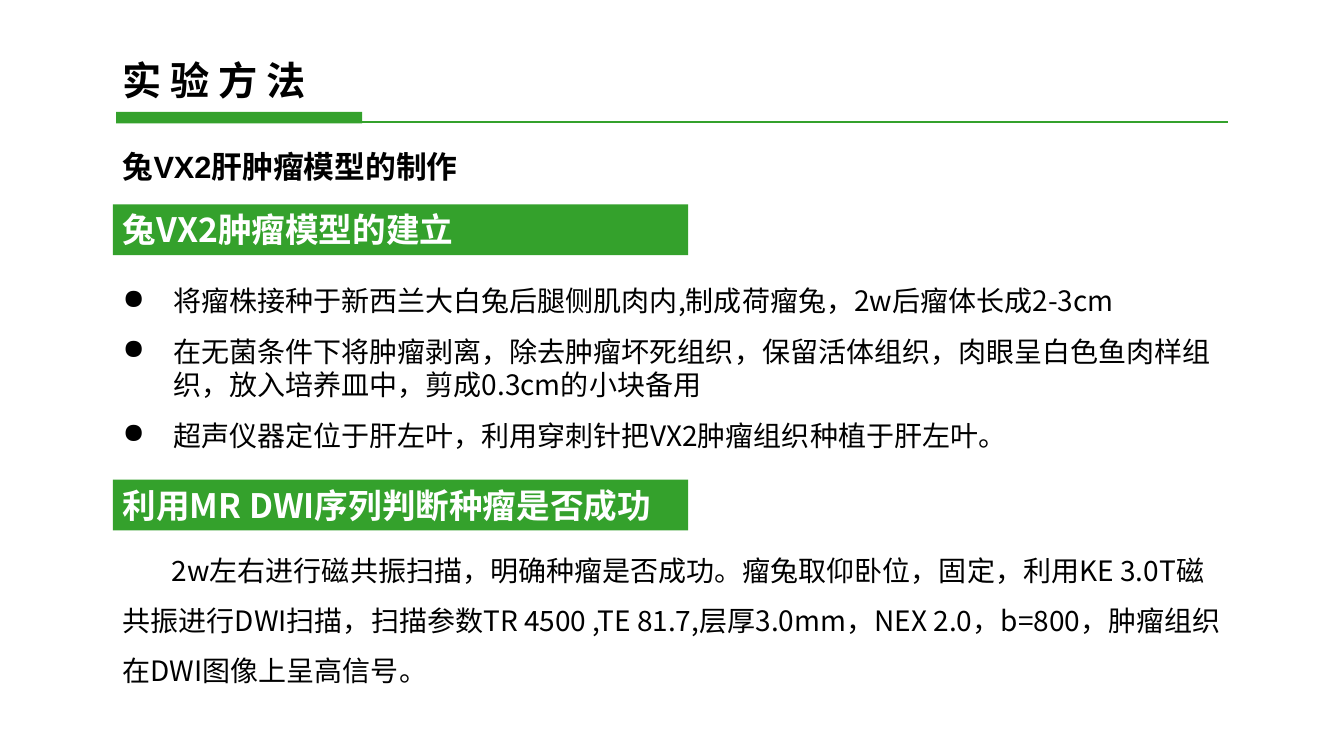
import pptx
import pptx.util
import pptx.dml.color
import pptx.enum.shapes
import pptx.enum.text
import pptx.oxml
import pptx.oxml.ns
from pptx.util import Pt

TITLE = "实 验 方 法"
SUBTITLE = "兔VX2肝肿瘤模型的制作"
HEADINGS = [
    ("兔VX2肿瘤模型的建立", 146),
    ("利用MR DWI序列判断种瘤是否成功", 342.5),
]
STEPS = [
    "将瘤株接种于新西兰大白兔后腿侧肌肉内,制成荷瘤兔，2w后瘤体长成2-3cm",
    "在无菌条件下将肿瘤剥离，除去肿瘤坏死组织，保留活体组织，肉眼呈白色鱼肉样组织，放入培养皿中，剪成0.3cm的小块备用",
    "超声仪器定位于肝左叶，利用穿刺针把VX2肿瘤组织种植于肝左叶。",
]
SCAN = (
    "2w左右进行磁共振扫描，明确种瘤是否成功。瘤兔取仰卧位，固定，利用KE 3.0T磁共振进行DWI扫描，"
    "扫描参数TR 4500 ,TE 81.7,层厚3.0mm，NEX 2.0，b=800，肿瘤组织在DWI图像上呈高信号。"
)

GREEN, BLACK, WHITE = "34A12C", "000000", "FFFFFF"
SANS, LATIN = "Noto Sans CJK SC", "Arial"
LEFT, BODY_WIDTH = 80.6, 802
TOP = pptx.enum.text.MSO_ANCHOR.TOP
MIDDLE = pptx.enum.text.MSO_ANCHOR.MIDDLE
RECTANGLE = pptx.enum.shapes.MSO_SHAPE.RECTANGLE


def color(value):
    return pptx.dml.color.RGBColor.from_string(value)


def apply(target, values):
    for name, value in values.items():
        setattr(target, name, value)


def add_xml(parent, tag, **attributes):
    element = pptx.oxml.parse_xml(f"<a:{tag} {pptx.oxml.ns.nsdecls('a')}/>")
    for name, value in attributes.items():
        element.set(name, value)
    parent.append(element)


def write(shape, lines, size, ink=BLACK, font=SANS, bold=False, anchor=TOP,
          spacing=None, gap=0, margin=0, indent=0, bullet=None):
    frame = shape.text_frame
    apply(frame, {"word_wrap": True, "vertical_anchor": anchor,
                  "auto_size": pptx.enum.text.MSO_AUTO_SIZE.SHAPE_TO_FIT_TEXT})
    for index, line in enumerate(lines):
        para = frame.add_paragraph() if index else frame.paragraphs[0]
        apply(para, {"alignment": pptx.enum.text.PP_ALIGN.LEFT, "line_spacing": spacing,
                     "space_before": Pt(gap if index else 0)})
        settings = para._p.get_or_add_pPr()
        settings.set("marL", str(int(Pt(margin))))
        settings.set("indent", str(int(Pt(indent))))
        if bullet:
            add_xml(settings, "buChar", char=bullet)
        span = para.add_run()
        span.text = line
        apply(span.font, {"name": font, "size": Pt(size), "bold": bold})
        span.font.color.rgb = color(ink)
        add_xml(span._r.get_or_add_rPr(), "ea", typeface=font)


def add_bar(page, left, top, width, height):
    bar = page.shapes.add_shape(RECTANGLE, Pt(left), Pt(top), Pt(width), Pt(height))
    bar.shadow.inherit = False
    bar.fill.solid()
    bar.fill.fore_color.rgb = color(GREEN)
    bar.line.fill.background()
    return bar


def add_box(page, top, width, height):
    return page.shapes.add_textbox(Pt(LEFT), Pt(top), Pt(width), Pt(height))


def main():
    deck = pptx.Presentation()
    apply(deck, {"slide_width": Pt(960), "slide_height": Pt(540)})
    page = deck.slides.add_slide(deck.slide_layouts[5])

    add_bar(page, 83, 80, 175.6, 8.2)
    rule = page.shapes.add_connector(
        pptx.enum.shapes.MSO_CONNECTOR.STRAIGHT, Pt(239), Pt(87.2), Pt(877), Pt(87.2))
    rule.line.width = Pt(1.5)
    rule.line.color.rgb = color(GREEN)
    add_xml(rule._element.spPr, "effectLst")

    title = page.shapes.title
    apply(title, {"left": Pt(LEFT), "top": Pt(36.8), "width": Pt(189), "height": Pt(41)})
    write(title, [TITLE], 28, bold=True)
    write(add_box(page, 88.6, 444, 47.5), [SUBTITLE], 22, font=LATIN, bold=True, spacing=1.5)

    for heading, top in HEADINGS:
        write(add_bar(page, LEFT, top, 411, 36.3), [heading], 24, ink=WHITE, bold=True)

    write(add_box(page, 198.7, BODY_WIDTH, 128), STEPS, 20, anchor=MIDDLE,
          gap=12, margin=36, indent=-36, bullet="●")
    write(add_box(page, 381, BODY_WIDTH, 112.3), [SCAN], 20, anchor=MIDDLE,
          spacing=1.5, indent=35)

    deck.save("out.pptx")


if __name__ == "__main__":
    main()
